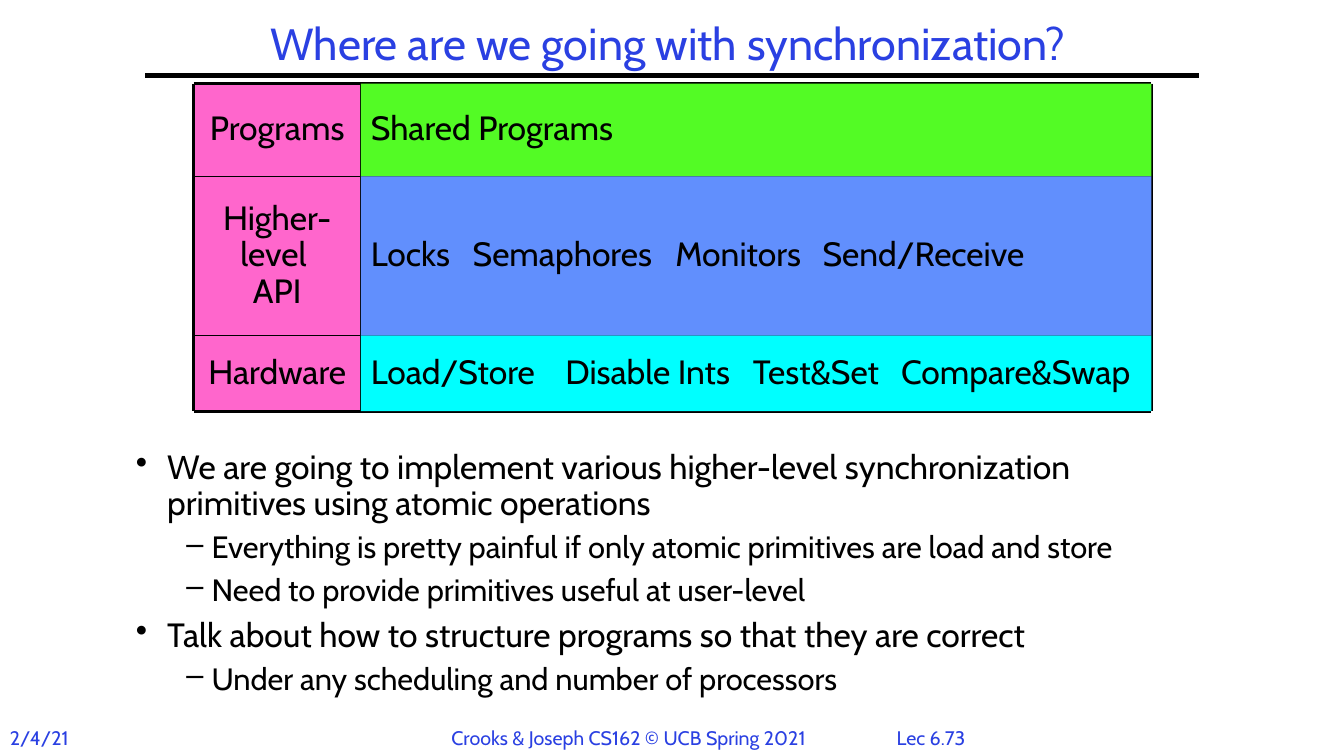
from lxml.etree import SubElement
from pptx import Presentation
from pptx.dml.color import RGBColor
from pptx.enum.shapes import MSO_CONNECTOR, MSO_SHAPE
from pptx.enum.text import MSO_ANCHOR, PP_ALIGN
from pptx.oxml.ns import qn
from pptx.util import Inches, Pt

BLACK = "000000"
BLUE = "2A40E2"
PINK = "FF66CC"


def color(value):
    return RGBColor.from_string(value)


class SlideBuilder:
    font_name = "Cabin"
    line_spacing = 0.9

    def __init__(self, slide):
        self.slide = slide

    def style(self, paragraph, size, font_color=BLACK, align=PP_ALIGN.LEFT):
        paragraph.alignment = align
        paragraph.line_spacing = self.line_spacing
        paragraph.font.name = self.font_name
        paragraph.font.size = Pt(size)
        paragraph.font.color.rgb = color(font_color)

    def text_box(self, left, top, width, height, wrap=True):
        shape = self.slide.shapes.add_textbox(
            Inches(left), Inches(top), Inches(width), Inches(height))
        shape.text_frame.word_wrap = wrap
        return shape.text_frame

    def label(self, text, left, top, width, height, size, align, wrap=True):
        frame = self.text_box(left, top, width, height, wrap)
        frame.vertical_anchor = MSO_ANCHOR.MIDDLE
        paragraph = frame.paragraphs[0]
        paragraph.text = text
        self.style(paragraph, size, BLUE, align)

    def line(self, start, end, width):
        connector = self.slide.shapes.add_connector(
            MSO_CONNECTOR.STRAIGHT, *[Inches(value) for value in (*start, *end)])
        connector.line.color.rgb = color(BLACK)
        connector.line.width = Pt(width)
        SubElement(connector._element.spPr, qn("a:effectLst"))

    def cell(self, text, left, top, width, height, fill, align, tabs=()):
        shape = self.slide.shapes.add_shape(
            MSO_SHAPE.RECTANGLE, Inches(left), Inches(top), Inches(width), Inches(height))
        shape.shadow.inherit = False
        shape.fill.solid()
        shape.fill.fore_color.rgb = color(fill)
        shape.line.fill.background()
        frame = shape.text_frame
        frame.word_wrap = True
        frame.vertical_anchor = MSO_ANCHOR.MIDDLE
        paragraph = frame.paragraphs[0]
        paragraph.text = text
        if tabs:
            tab_list = SubElement(paragraph._p.get_or_add_pPr(), qn("a:tabLst"))
            for position in tabs:
                SubElement(tab_list, qn("a:tab"), pos=str(Inches(position)), algn="l")
        self.style(paragraph, 24, BLACK, align)

    def bullets(self, items, left, top, width, height):
        levels = [("•", 0.31, 0.31, 24), ("–", 0.75, 0.25, 22)]
        frame = self.text_box(left, top, width, height)
        for index, (level, text) in enumerate(items):
            mark, margin, hanging, size = levels[level]
            paragraph = frame.add_paragraph() if index else frame.paragraphs[0]
            paragraph.text = text
            paragraph.level = level
            properties = paragraph._p.get_or_add_pPr()
            properties.set("marL", str(Inches(margin)))
            properties.set("indent", str(-Inches(hanging)))
            SubElement(properties, qn("a:buChar"), char=mark)
            if index:
                paragraph.space_before = Pt(0.3 * size)
            self.style(paragraph, size)


def main():
    presentation = Presentation()
    presentation.slide_width = Inches(13.33)
    presentation.slide_height = Inches(7.5)
    builder = SlideBuilder(presentation.slides.add_slide(presentation.slide_layouts[6]))

    builder.line((1.44, 0.75), (11.89, 0.75), 3)
    footers = [
        ("Lec 6.73", 8.75, 0.97, PP_ALIGN.CENTER),
        ("2/4/21", 0, 0.8, PP_ALIGN.LEFT),
        ("Crooks & Joseph CS162 © UCB Spring 2021", 4.38, 3.76, PP_ALIGN.LEFT),
    ]
    for text, left, width, align in footers:
        builder.label(text, left, 7.16, width, 0.34, 14, align, wrap=False)

    table_left, divider, table_right = 1.92, 3.58, 11.42
    row_edges = [0.83, 1.75, 3.33, 4.08]
    layers = [
        ("Programs", "Shared Programs", "53FB25", ()),
        ("Higher-level \vAPI", "Locks\tSemaphores\tMonitors\tSend/Receive",
         "618FFD", (1.01, 3.02, 4.48)),
        ("Hardware", "Load/Store\tDisable Ints\tTest&Set\tCompare&Swap",
         "00FFFF", (1.93, 3.79, 5.26)),
    ]
    rows = list(zip(layers, row_edges, row_edges[1:]))
    for (name, _, _, _), top, bottom in rows:
        builder.cell(name, table_left, top, divider - table_left, bottom - top,
                     PINK, PP_ALIGN.CENTER)
    for y, width in zip(row_edges, (2.25, 1, 1, 2.25)):
        builder.line((table_left, y), (table_right, y), width)
    for x, width in zip((table_left, divider, table_right), (2.25, 1, 2.25)):
        builder.line((x, row_edges[0]), (x, row_edges[-1]), width)

    builder.label("Where are we going with synchronization?",
                  2.17, 0.17, 8.92, 0.58, 32, PP_ALIGN.CENTER)
    builder.bullets([
        (0, "We are going to implement various higher-level synchronization "
            "primitives using atomic operations"),
        (1, "Everything is pretty painful if only atomic primitives are load and store"),
        (1, "Need to provide primitives useful at user-level"),
        (0, "Talk about how to structure programs so that they are correct"),
        (1, "Under any scheduling and number of processors"),
    ], 1.25, 4.42, 10.42, 2.33)

    for (_, contents, fill, tabs), top, bottom in rows:
        builder.cell(contents, divider, top, table_right - divider, bottom - top,
                     fill, PP_ALIGN.LEFT, tabs)

    presentation.save("out.pptx")


if __name__ == "__main__":
    main()
